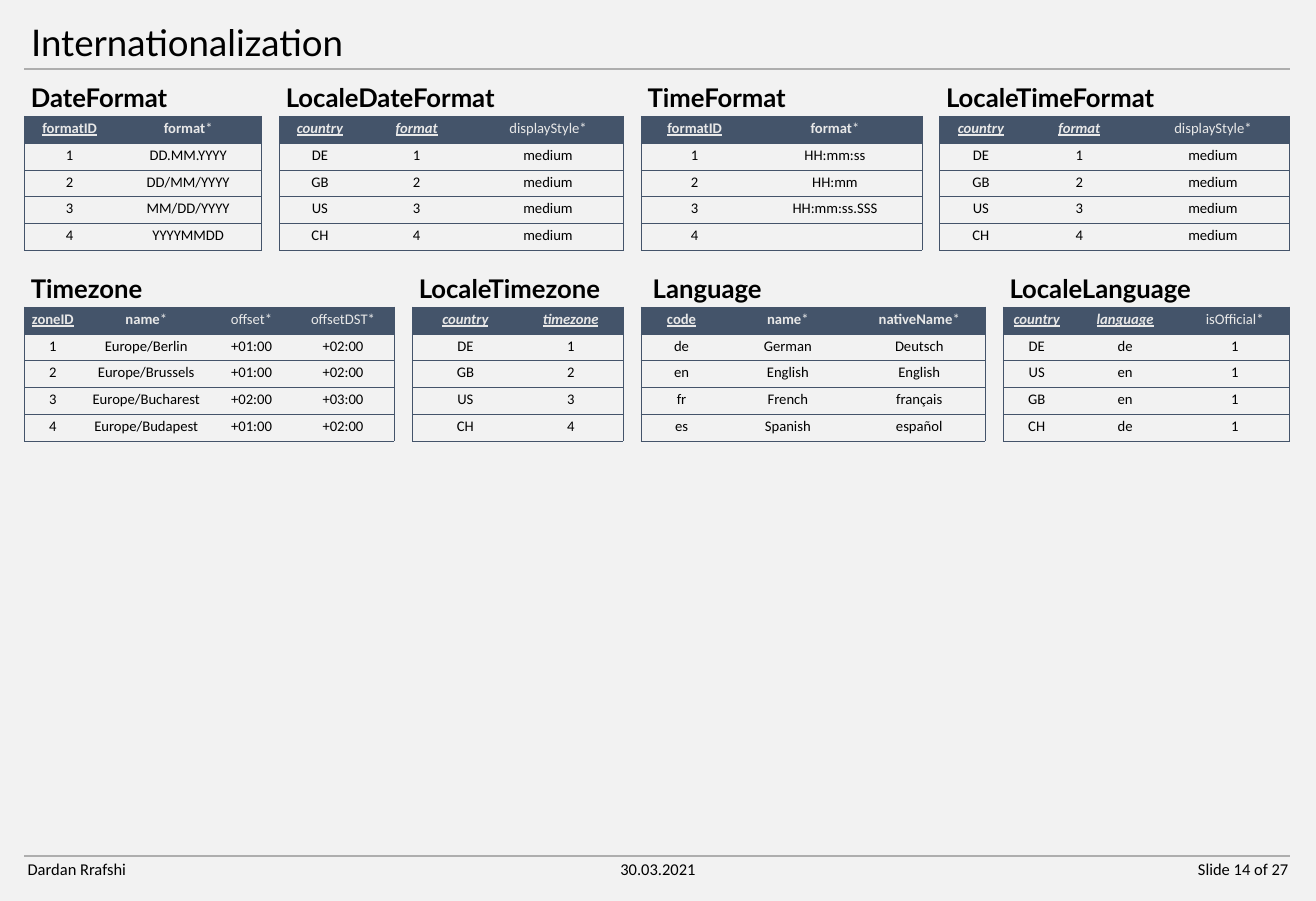
from lxml.etree import SubElement
from pptx import Presentation
from pptx.dml.color import RGBColor
from pptx.enum.text import MSO_ANCHOR, MSO_AUTO_SIZE, PP_ALIGN
from pptx.oxml.ns import qn
from pptx.util import Inches, Pt

# Content: every header cell is (name, role); every table is
# (heading, column widths, header cells, rows)
TITLE = "Internationalization"
FOOTER = [
    ("Dardan Rrafshi", PP_ALIGN.LEFT),
    ("30.03.2021", PP_ALIGN.CENTER),
    ("Slide 14 of 27", PP_ALIGN.RIGHT),
]
LOCALE_HEADER = [("country", "foreign"), ("format", "foreign"), ("displayStyle", "optional")]
LOCALE_ROWS = [
    ("DE", "1", "medium"),
    ("GB", "2", "medium"),
    ("US", "3", "medium"),
    ("CH", "4", "medium"),
]
FORMAT_HEADER = [("formatID", "key"), ("format", "required")]
TABLE_BANDS = [
    [
        ("DateFormat", (1.37, 2.22), FORMAT_HEADER,
         [("1", "DD.MM.YYYY"), ("2", "DD/MM/YYYY"), ("3", "MM/DD/YYYY"), ("4", "YYYYMMDD")]),
        ("LocaleDateFormat", (1.23, 1.7, 2.28), LOCALE_HEADER, LOCALE_ROWS),
        ("TimeFormat", (1.62, 2.63), FORMAT_HEADER,
         [("1", "HH:mm:ss"), ("2", "HH:mm"), ("3", "HH:mm:ss.SSS"), ("4", "")]),
        ("LocaleTimeFormat", (1.25, 1.73, 2.32), LOCALE_HEADER, LOCALE_ROWS),
    ],
    [
        ("Timezone", (0.86, 1.97, 1.22, 1.55),
         [("zoneID", "key"), ("name", "required"), ("offset", "optional"), ("offsetDST", "optional")],
         [("1", "Europe/Berlin", "+01:00", "+02:00"),
          ("2", "Europe/Brussels", "+01:00", "+02:00"),
          ("3", "Europe/Bucharest", "+02:00", "+03:00"),
          ("4", "Europe/Budapest", "+01:00", "+02:00")]),
        ("LocaleTimezone", (1.61, 1.58), [("country", "foreign"), ("timezone", "foreign")],
         [("DE", "1"), ("GB", "2"), ("US", "3"), ("CH", "4")]),
        ("Language", (1.23, 1.99, 1.99),
         [("code", "key"), ("name", "required"), ("nativeName", "required")],
         [("de", "German", "Deutsch"), ("en", "English", "English"),
          ("fr", "French", "français"), ("es", "Spanish", "español")]),
        ("LocaleLanguage", (1.02, 1.66, 1.66),
         [("country", "foreign"), ("language", "foreign"), ("isOfficial", "optional")],
         [("DE", "de", "1"), ("US", "en", "1"), ("GB", "en", "1"), ("CH", "de", "1")]),
    ],
]

# Style
COLORS = {"background": "F2F2F2", "header": "44546A", "header_text": "E8E8E8",
          "text": "000000", "rule": "AEAEAE"}
BOLD = {"bold": True}
ROLES = {
    "key": {"bold": True, "underline": True},
    "foreign": {"bold": True, "italic": True, "underline": True},
    "required": BOLD,
    "optional": {},
}
PLAIN_STYLE_ID = "{2D5ABB26-0587-4C30-8999-92F81FD0307C}"

# Layout in inches
SLIDE_WIDTH, SLIDE_HEIGHT = 19.93, 13.65
LEFT, CONTENT_WIDTH = 0.37, 19.16
TITLE_TOP, TITLE_HEIGHT = 0.32, 0.72
TITLE_RULE, FOOTER_RULE = 1.04, 12.97
BAND_TOP, BAND_STEP = 1.76, 2.89
HEADING_HEIGHT, TABLE_HEIGHT = 0.57, 2.03
HEADING_INDENTS = {"Language": 0.08}
FOOTER_LEFT, FOOTER_WIDTH, FOOTER_HEIGHT = 0.32, 1.77, 0.4


def color(name):
    return RGBColor.from_string(COLORS[name])


def add_run(paragraph, text, size, font_name, color_name="text", **emphasis):
    run = paragraph.add_run()
    run.text = text
    font = run.font
    font.size, font.name = Pt(size), font_name
    font.color.rgb = color(color_name)
    font.bold = emphasis.get("bold", False)
    font.italic = emphasis.get("italic", False)
    font.underline = emphasis.get("underline", False)


def add_text(slide, box, text, size, font_name, alignment=PP_ALIGN.LEFT, **emphasis):
    shape = slide.shapes.add_textbox(*map(Inches, box))
    shape.text_frame.word_wrap = True
    paragraph = shape.text_frame.paragraphs[0]
    paragraph.alignment = alignment
    add_run(paragraph, text, size, font_name, **emphasis)


def add_rule(slide, top):
    line = slide.shapes.add_connector(
        1, Inches(LEFT), Inches(top), Inches(LEFT + CONTENT_WIDTH), Inches(top))
    line.line.color.rgb = color("rule")
    line.line.width = Pt(2.25)
    SubElement(line.element.spPr, qn("a:effectLst"))


def set_borders(cell, sides):
    properties = cell._tc.get_or_add_tcPr()
    for position, side in enumerate(sides):
        border = SubElement(properties, qn(f"a:ln{side}"), w=str(Pt(0.5)))
        fill = SubElement(border, qn("a:solidFill"))
        SubElement(fill, qn("a:srgbClr"), val=COLORS["header"])
        properties.insert(position, border)


def add_entity(slide, left, top, widths, header, rows):
    frame = slide.shapes.add_table(
        len(rows) + 1, len(widths), Inches(left), Inches(top),
        Inches(sum(widths)), Inches(TABLE_HEIGHT))
    table = frame.table
    table.first_row = table.horz_banding = False
    next(frame.element.iter(qn("a:tableStyleId"))).text = PLAIN_STYLE_ID
    for column, width in zip(table.columns, widths):
        column.width = Inches(width)

    for row_index, values in enumerate([header, *rows]):
        for column_index, value in enumerate(values):
            cell = table.cell(row_index, column_index)
            paragraph = cell.text_frame.paragraphs[0]
            paragraph.alignment = PP_ALIGN.CENTER
            if row_index == 0:
                cell.fill.solid()
                cell.fill.fore_color.rgb = color("header")
                name, role = value
                add_run(paragraph, name, 16, "Calibri", "header_text", **ROLES[role])
                if role in ("required", "optional"):
                    add_run(paragraph, "*", 16, "Calibri", "header_text")
            else:
                cell.fill.background()
                if value:
                    add_run(paragraph, value, 16, "Calibri")
            outer = ["L"] * (column_index == 0) + ["R"] * (column_index == len(widths) - 1)
            set_borders(cell, [*outer, "T", "B"])


def main():
    presentation = Presentation()
    presentation.slide_width = Inches(SLIDE_WIDTH)
    presentation.slide_height = Inches(SLIDE_HEIGHT)
    slide = presentation.slides.add_slide(presentation.slide_layouts[5])
    slide.background.fill.solid()
    slide.background.fill.fore_color.rgb = color("background")

    # Title
    title = slide.shapes.title
    title.left, title.top = Inches(LEFT), Inches(TITLE_TOP)
    title.width, title.height = Inches(CONTENT_WIDTH), Inches(TITLE_HEIGHT)
    title.text_frame.auto_size = MSO_AUTO_SIZE.NONE
    title.text_frame.vertical_anchor = MSO_ANCHOR.MIDDLE
    paragraph = title.text_frame.paragraphs[0]
    paragraph.alignment = PP_ALIGN.LEFT
    paragraph.line_spacing = 0.9
    add_run(paragraph, TITLE, 40, "Lato")

    # Two bands of tables, justified across the content width
    for band_index, band in enumerate(TABLE_BANDS):
        top = BAND_TOP + band_index * BAND_STEP
        used = sum(sum(widths) for _, widths, _, _ in band)
        gap = (CONTENT_WIDTH - used) / (len(band) - 1)
        left = LEFT
        for heading, widths, header, rows in band:
            box = (left + HEADING_INDENTS.get(heading, 0), top - HEADING_HEIGHT,
                   sum(widths), HEADING_HEIGHT)
            add_text(slide, box, heading, 28, "Lato", **BOLD)
            add_entity(slide, left, top, widths, header, rows)
            left += sum(widths) + gap

    # Rules and footer
    for top in (TITLE_RULE, FOOTER_RULE):
        add_rule(slide, top)
    step = (SLIDE_WIDTH - 2 * FOOTER_LEFT - FOOTER_WIDTH) / (len(FOOTER) - 1)
    for index, (text, alignment) in enumerate(FOOTER):
        box = (FOOTER_LEFT + index * step, FOOTER_RULE, FOOTER_WIDTH, FOOTER_HEIGHT)
        add_text(slide, box, text, 18, "Calibri", alignment)

    presentation.save("out.pptx")


if __name__ == "__main__":
    main()
